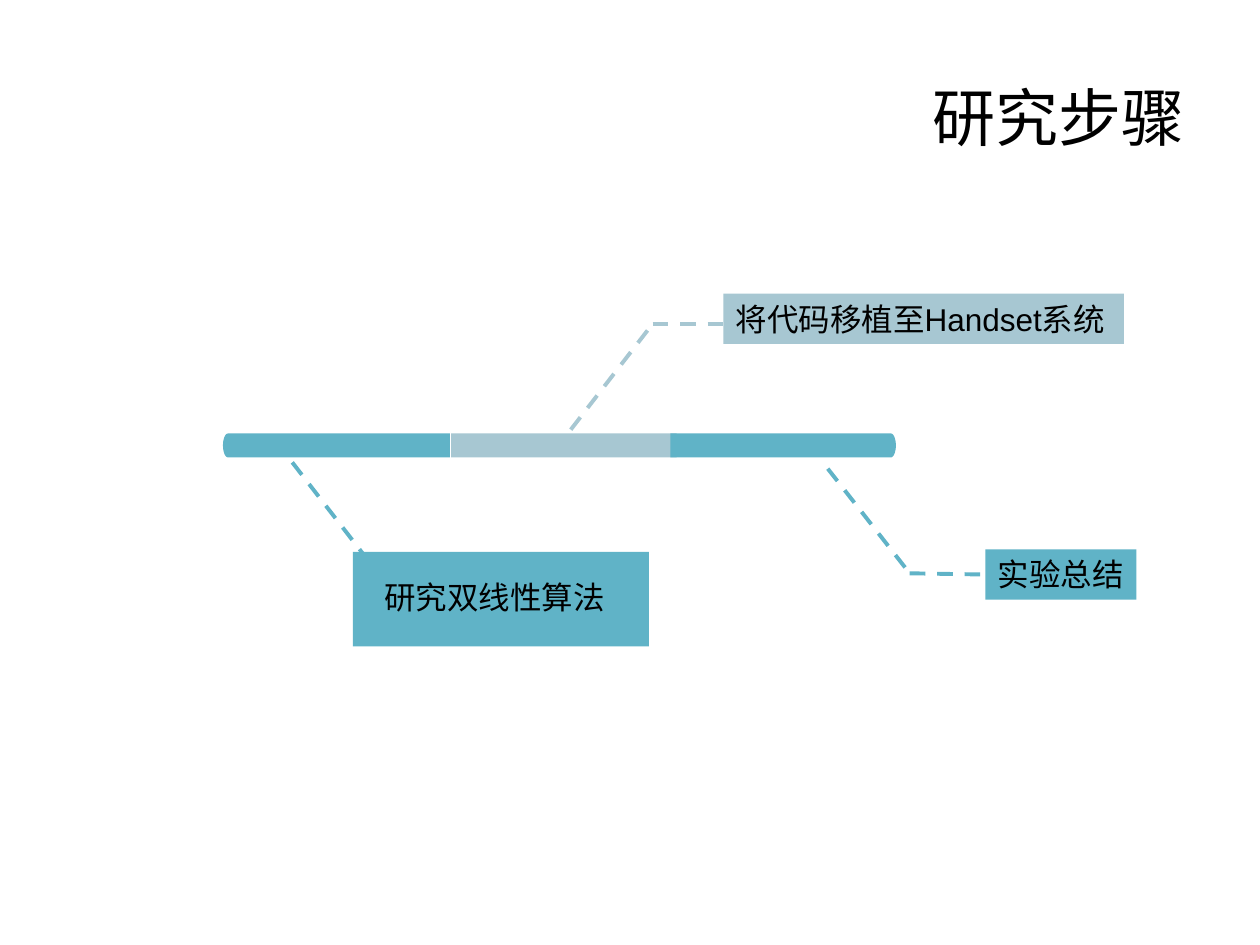
import math

import pptx
import pptx.dml.color
import pptx.enum.dml
import pptx.enum.shapes
import pptx.enum.text
import pptx.oxml
import pptx.oxml.ns
import pptx.util
from pptx.util import Inches

TEAL = pptx.dml.color.RGBColor(0x60, 0xB3, 0xC7)
PALE = pptx.dml.color.RGBColor(0xA7, 0xC7, 0xD2)
BLACK = pptx.dml.color.RGBColor(0, 0, 0)
ALIGN = pptx.enum.text.PP_ALIGN
ANCHOR = pptx.enum.text.MSO_ANCHOR


class StepsSlide:
    latin_font = "Arial"
    asian_font = "Noto Sans CJK SC"
    title_size = 36
    label_size = 18
    line_width = 2.25

    def __init__(self, presentation):
        self.slide = presentation.slides.add_slide(presentation.slide_layouts[5])
        self.shapes = self.slide.shapes

    def set_text(self, shape, text, size, align, anchor=ANCHOR.TOP, wrap=False):
        frame = shape.text_frame
        frame.word_wrap = wrap
        frame.auto_size = pptx.enum.text.MSO_AUTO_SIZE.NONE
        frame.vertical_anchor = anchor
        paragraph = frame.paragraphs[0]
        paragraph.alignment = align
        run = paragraph.add_run()
        run.text = text
        run.font.size = pptx.util.Pt(size)
        run.font.name = self.latin_font
        run.font.color.rgb = BLACK
        asian = pptx.oxml.parse_xml(
            f'<a:ea {pptx.oxml.ns.nsdecls("a")} typeface="{self.asian_font}"/>')
        run.font._element.find(pptx.oxml.ns.qn("a:latin")).addnext(asian)

    def title(self, text, left, top, width, height):
        shape = self.shapes.title
        shape.left, shape.top = Inches(left), Inches(top)
        shape.width, shape.height = Inches(width), Inches(height)
        self.set_text(shape, text, self.title_size, ALIGN.RIGHT, ANCHOR.MIDDLE, True)

    def paint(self, shape, color):
        shape.shadow.inherit = False
        shape.fill.solid()
        shape.fill.fore_color.rgb = color
        shape.line.fill.background()

    def box(self, left, top, width, height, color, text=None):
        shape = self.shapes.add_shape(
            pptx.enum.shapes.MSO_SHAPE.RECTANGLE,
            Inches(left), Inches(top), Inches(width), Inches(height))
        self.paint(shape, color)
        if text:
            self.set_text(shape, text, self.label_size, ALIGN.LEFT)
        return shape

    def label(self, text, left, top, width, height):
        shape = self.shapes.add_textbox(
            Inches(left), Inches(top), Inches(width), Inches(height))
        self.set_text(shape, text, self.label_size, ALIGN.CENTER)

    def bar_end(self, flat, tip, top, height, color, cap=0.04, steps=16):
        """Bar segment with a flat side and a rounded tip facing away from it."""
        direction = 1 if tip > flat else -1
        middle = top + height / 2
        angles = [math.pi * (i / steps - 0.5) for i in range(steps + 1)]
        points = [(tip + direction * cap * (math.cos(a) - 1),
                   middle + height / 2 * math.sin(a)) for a in angles]
        points.append((flat, top + height))
        builder = self.shapes.build_freeform(
            Inches(flat), Inches(top), scale=1.0)
        builder.add_line_segments(
            [(Inches(x), Inches(y)) for x, y in points], close=True)
        self.paint(builder.convert_to_shape(), color)

    def leader(self, points, color):
        """Dashed line through the points; returns its last connector."""
        for start, end in zip(points, points[1:]):
            connector = self.shapes.add_connector(
                pptx.enum.shapes.MSO_CONNECTOR.STRAIGHT,
                *(Inches(value) for value in start + end))
            connector.line.color.rgb = color
            connector.line.width = pptx.util.Pt(self.line_width)
            connector.line.dash_style = pptx.enum.dml.MSO_LINE.DASH
            connector._element.spPr.append(pptx.oxml.parse_xml(
                f'<a:effectLst {pptx.oxml.ns.nsdecls("a")}/>'))
        return connector


def main():
    presentation = pptx.Presentation()
    presentation.slide_width = Inches(10)
    presentation.slide_height = Inches(7.5)
    steps = StepsSlide(presentation)
    steps.title("研究步骤", 0.5, 0.3, 9, 1.25)

    # Three-part progress bar
    bar_top, bar_height = 3.44, 0.19
    steps.bar_end(3.57, 1.77, bar_top, bar_height, TEAL)
    steps.box(3.58, bar_top, 1.79, bar_height, PALE)
    steps.bar_end(5.32, 7.11, bar_top, bar_height, TEAL)

    # First step
    steps.box(2.8, 4.38, 2.35, 0.75, TEAL)
    steps.label("研究双线性算法", 2.95, 4.54, 1.95, 0.4)
    steps.leader([(2.32, 3.67), (2.97, 4.51), (3.61, 4.51)], TEAL)

    # Second step
    steps.leader([(4.53, 3.41), (5.18, 2.57), (5.81, 2.57)], PALE)
    steps.box(5.74, 2.33, 3.18, 0.4, PALE, "将代码移植至Handset系统")

    # Third step
    last = steps.leader([(6.57, 3.72), (7.22, 4.55), (7.85, 4.55)], TEAL)
    summary = steps.box(7.82, 4.36, 1.2, 0.4, TEAL, "实验总结")
    last.end_connect(summary, 1)

    presentation.save("out.pptx")


if __name__ == "__main__":
    main()
